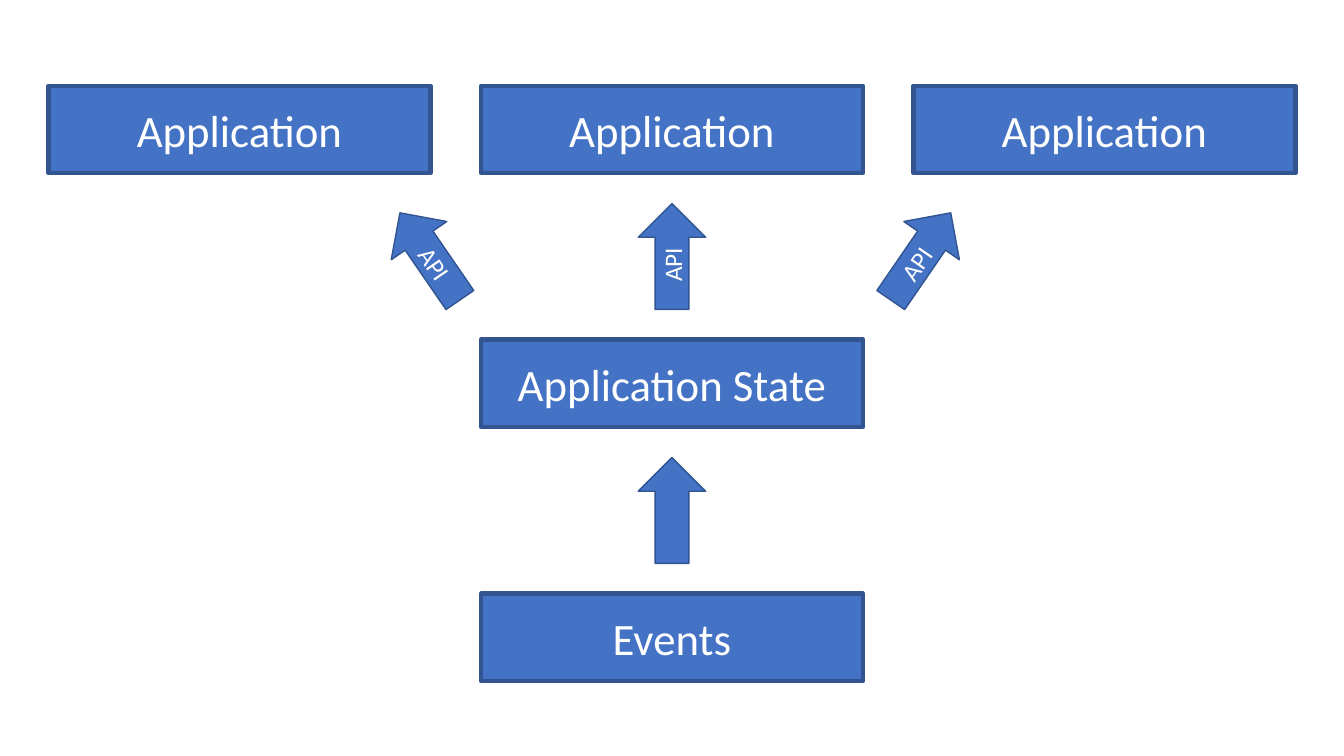
from pptx import Presentation
from pptx.dml.color import RGBColor
from pptx.enum import shapes, text
from pptx.util import Pt

FILL, EDGE, INK = "4472C4", "325491", "FFFFFF"
MID = 480
BOX_W, BOX_H = 272.9, 62.6
ARROW_W, ARROW_H = 75.6, 48.2
TOP, ROW, COL = 92.5, 181.4, 308.9


def paint(form, color):
    form.fore_color.rgb = RGBColor.from_string(color)


def add_form(slide, kind, x, y, width, height, edge, words, size):
    """Add a filled shape centred on x, y."""
    form = slide.shapes.add_shape(
        kind, Pt(x - width / 2), Pt(y - height / 2), Pt(width), Pt(height))
    form.shadow.inherit = False
    form.fill.solid()
    paint(form.fill, FILL)
    form.line.fill.solid()
    paint(form.line.fill, EDGE)
    form.line.width = Pt(edge)
    if words:
        frame = form.text_frame
        frame.text = words
        frame.vertical_anchor = text.MSO_ANCHOR.MIDDLE
        para = frame.paragraphs[0]
        para.alignment = text.PP_ALIGN.CENTER
        font = para.runs[0].font
        font.name, font.size = "Calibri", Pt(size)
        font.color.rgb = RGBColor.from_string(INK)
    return form


def add_box(slide, x, y, words):
    add_form(slide, shapes.MSO_SHAPE.RECTANGLE, x, y, BOX_W, BOX_H, 3, words, 32)


def add_arrow(slide, x, y, angle, words="", flip=False):
    arrow = add_form(slide, shapes.MSO_SHAPE.RIGHT_ARROW, x, y,
                     ARROW_W, ARROW_H, 1, words, 18)
    arrow.rotation = angle
    if flip:
        arrow._element.spPr.get_or_add_xfrm().set("flipH", "1")


def main():
    deck = Presentation()
    deck.slide_width, deck.slide_height = Pt(960), Pt(540)
    slide = deck.slides.add_slide(deck.slide_layouts[6])

    for col in (-1, 0, 1):
        add_box(slide, MID + col * COL, TOP, "Application")
    for row, words in enumerate(("Application State", "Events"), 1):
        add_box(slide, MID, TOP + row * ROW, words)

    gap = TOP + ROW / 2
    add_arrow(slide, 307.1, gap, 55.5, "API", flip=True)
    add_arrow(slide, MID, gap, 270, "API")
    add_arrow(slide, 657.7, gap, 304.5, "API")
    add_arrow(slide, MID, gap + ROW, 270)

    deck.save("out.pptx")


if __name__ == "__main__":
    main()
